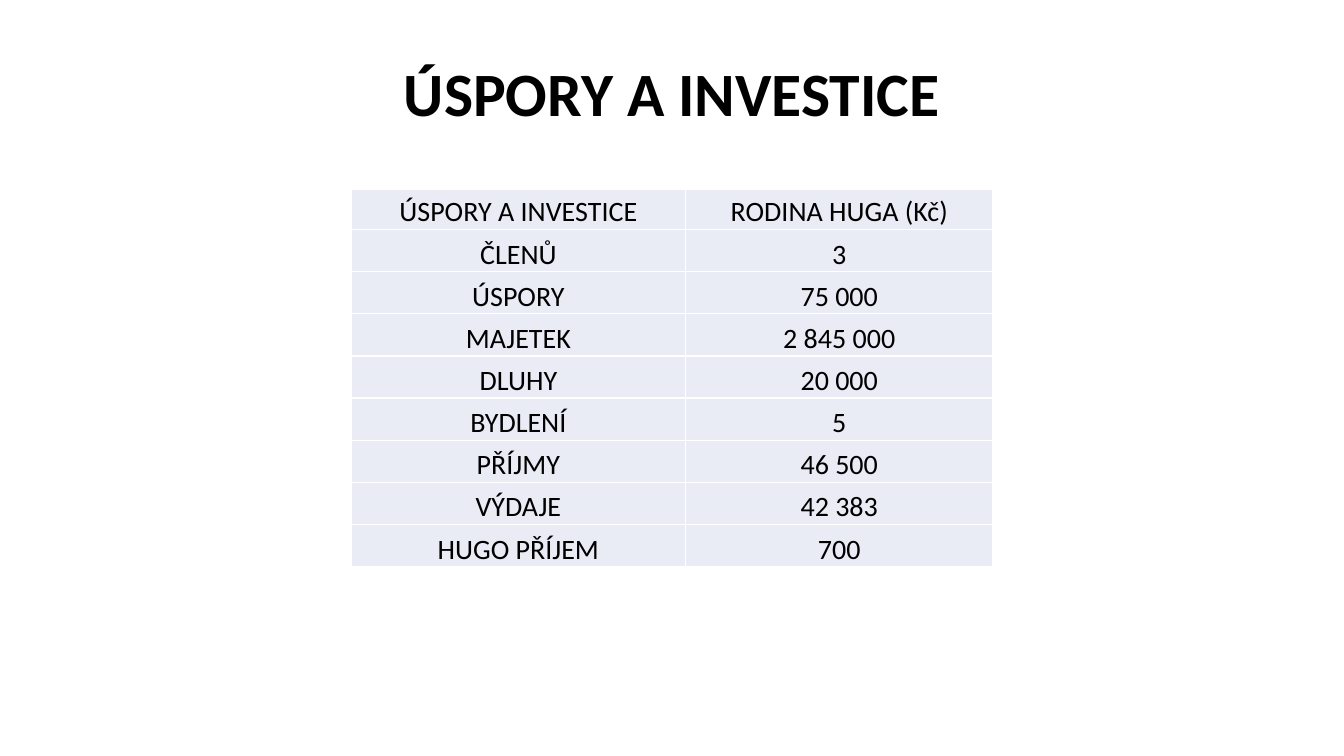
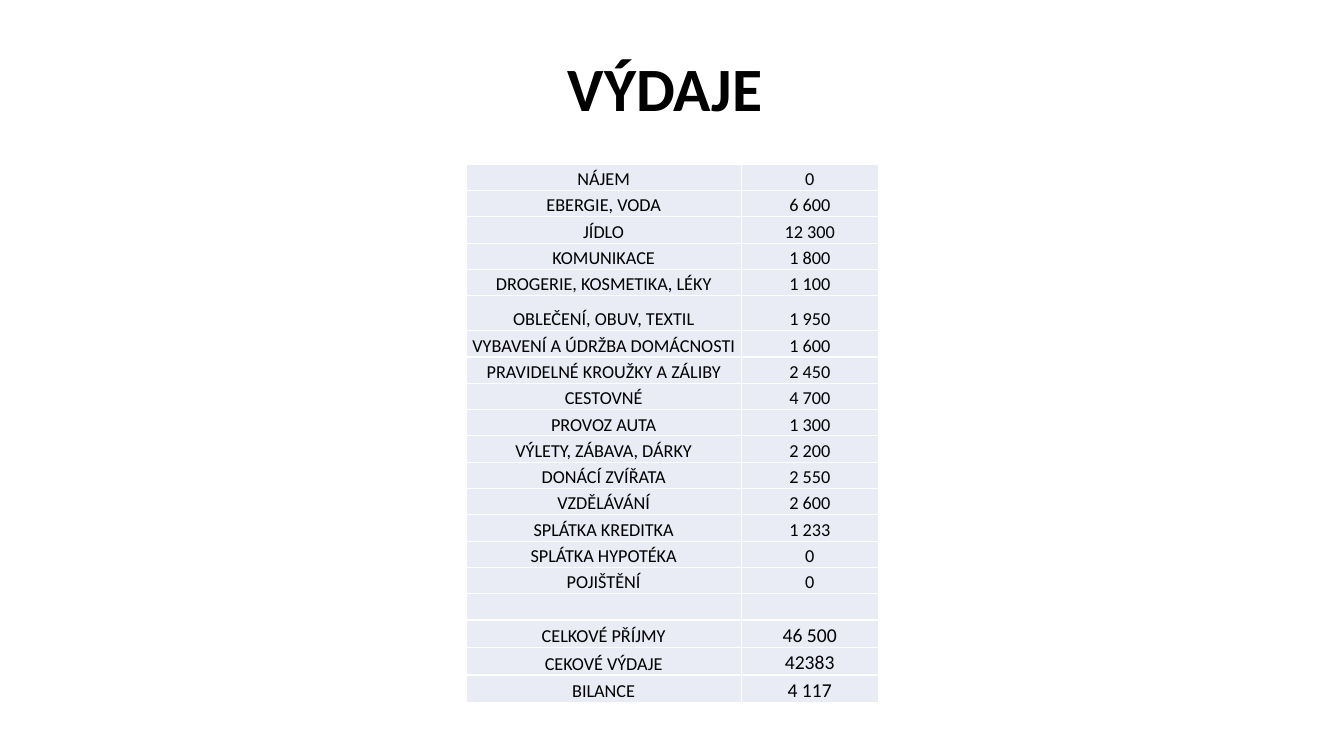
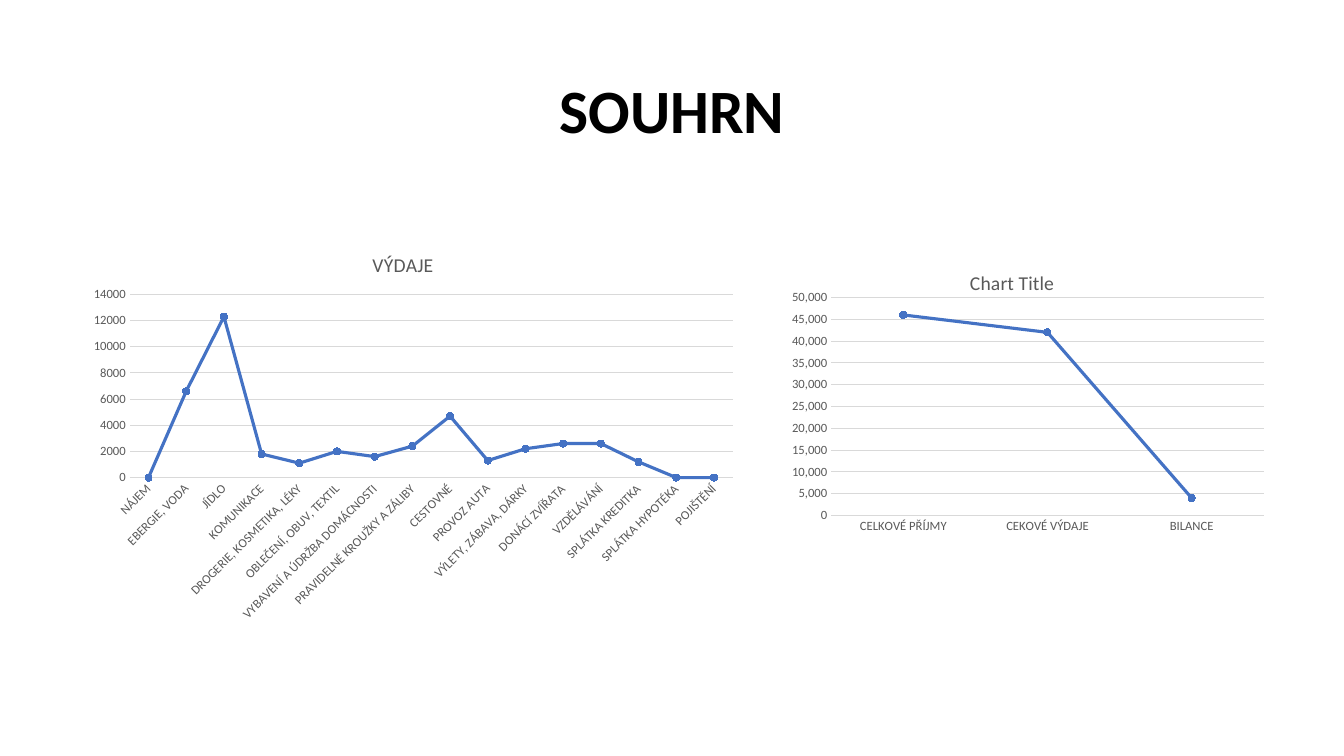
from dataclasses import dataclass

from lxml.etree import SubElement
from pptx import Presentation
from pptx.chart.data import CategoryChartData
from pptx.dml.color import RGBColor
from pptx.enum.chart import XL_CHART_TYPE as ChartType
from pptx.enum.chart import XL_MARKER_STYLE as Marker
from pptx.enum.chart import XL_TICK_MARK as TickMark
from pptx.enum.text import MSO_ANCHOR as Anchor
from pptx.enum.text import PP_ALIGN as Align
from pptx.oxml.ns import qn
from pptx.util import Inches, Pt

FONT = "Calibri"
COLORS = {
    "text": "000000",
    "cell": "E9EBF5",
    "border": "FFFFFF",
    "series": "4472C4",
    "label": "595959",
    "grid": "D9D9D9",
}
WIDTH, HEIGHT = Inches(13.33), Inches(7.5)

SAVINGS = [
    ("ÚSPORY A INVESTICE", "RODINA HUGA (Kč)"),
    ("ČLENŮ", "3"),
    ("ÚSPORY", "75 000"),
    ("MAJETEK", "2 845 000"),
    ("DLUHY", "20 000"),
    ("BYDLENÍ", "5"),
    ("PŘÍJMY", "46 500"),
    ("VÝDAJE", "42 383"),
    ("HUGO PŘÍJEM", "700"),
]
EXPENSES = [
    ("NÁJEM", "0"),
    ("EBERGIE, VODA", "6 600"),
    ("JÍDLO", "12 300"),
    ("KOMUNIKACE", "1 800"),
    ("DROGERIE, KOSMETIKA, LÉKY", "1 100"),
    ("OBLEČENÍ, OBUV, TEXTIL", "1 950"),
    ("VYBAVENÍ A ÚDRŽBA DOMÁCNOSTI", "1 600"),
    ("PRAVIDELNÉ KROUŽKY A ZÁLIBY", "2 450"),
    ("CESTOVNÉ", "4 700"),
    ("PROVOZ AUTA", "1 300"),
    ("VÝLETY, ZÁBAVA, DÁRKY", "2 200"),
    ("DONÁCÍ ZVÍŘATA", "2 550"),
    ("VZDĚLÁVÁNÍ", "2 600"),
    ("SPLÁTKA KREDITKA", "1 233"),
    ("SPLÁTKA HYPOTÉKA", "0"),
    ("POJIŠTĚNÍ", "0"),
]
BALANCE = [
    ("CELKOVÉ PŘÍJMY", "46 500"),
    ("CEKOVÉ VÝDAJE", "42383"),
    ("BILANCE", "4 117"),
]


@dataclass
class Box:
    """A region in percent of the slide's width and height."""

    left: float
    top: float
    width: float
    height: float

    def place(self):
        return (
            int(WIDTH * self.left / 100),
            int(HEIGHT * self.top / 100),
            int(WIDTH * self.width / 100),
            int(HEIGHT * self.height / 100),
        )


def color(name):
    return RGBColor.from_string(COLORS[name])


def style_font(font, size, tint="text", bold=False):
    font.name = FONT
    font.size = Pt(size)
    font.bold = bold
    font.color.rgb = color(tint)


def add_title(page, text, top):
    frame = page.shapes.add_textbox(*Box(6.9, top, 86.2, 19.33).place()).text_frame
    frame.word_wrap = True
    frame.vertical_anchor = Anchor.MIDDLE
    para = frame.paragraphs[0]
    para.text = text
    para.alignment = Align.CENTER
    para.line_spacing = 0.9
    style_font(para.font, 44, bold=True)


def add_borders(cell):
    properties = cell._tc.get_or_add_tcPr()
    for index, side in enumerate(("lnL", "lnR", "lnT", "lnB")):
        line = properties.makeelement(qn(f"a:{side}"), {"w": str(Pt(1))})
        fill = SubElement(line, qn("a:solidFill"))
        SubElement(fill, qn("a:srgbClr"), val=COLORS["border"])
        properties.insert(index, line)


def fill_cell(cell, text, size, inset):
    cell.fill.solid()
    cell.fill.fore_color.rgb = color("cell")
    cell.vertical_anchor = Anchor.BOTTOM
    cell.margin_left = cell.margin_right = cell.margin_top = Pt(inset)
    cell.margin_bottom = 0
    para = cell.text_frame.paragraphs[0]
    para.text = text
    para.alignment = Align.CENTER
    style_font(para.font, size)
    add_borders(cell)


def share_out(tracks, total, weights):
    return [(track, int(total * weight / sum(weights))) for track, weight in zip(tracks, weights)]


def add_grid(page, box, rows, columns, heights, size, inset, large_values=()):
    left, top, width, height = box.place()
    table = page.shapes.add_table(len(rows), len(columns), left, top, width, height).table
    table.first_row = table.horz_banding = False
    for column, length in share_out(table.columns, width, columns):
        column.width = length
    for row, length in share_out(table.rows, height, heights):
        row.height = length
    for r, row in enumerate(rows):
        for c, text in enumerate(row):
            enlarged = c == 1 and row in large_values
            fill_cell(table.cell(r, c), text, size + enlarged, inset)


def set_layout(parent, percents, target=()):
    layout = parent.find(qn("c:layout"))
    if layout is None:
        layout = parent.makeelement(qn("c:layout"), {})
        parent.insert(0, layout)
    manual = SubElement(layout, qn("c:manualLayout"))
    shares = [(tag, percent / 100) for tag, percent in zip("xywh", percents)]
    for tag, value in [*target, ("xMode", "edge"), ("yMode", "edge"), *shares]:
        SubElement(manual, qn(f"c:{tag}"), val=str(value))


def style_axes(chart, number_format, rotation):
    names, values = chart.category_axis, chart.value_axis
    for axis in (names, values):
        axis.major_tick_mark = axis.minor_tick_mark = TickMark.NONE
        style_font(axis.tick_labels.font, 9, "label")
    names.format.line.color.rgb = color("grid")
    names.format.line.width = Pt(0.75)
    names._element.get_or_add_txPr().bodyPr.set("rot", str(rotation * 60000))
    values.format.line.fill.background()
    values.has_major_gridlines = True
    values.major_gridlines.format.line.color.rgb = color("grid")
    values.major_gridlines.format.line.width = Pt(0.75)
    values.tick_labels.number_format = number_format
    values.tick_labels.number_format_is_linked = False


def add_line_chart(page, box, kind, title, rows, step, plot, number_format, rotation=0):
    data = CategoryChartData()
    data.categories = [name for name, _ in rows]
    amounts = [int(value.replace(" ", "")) for _, value in rows]
    data.add_series("Series 1", [round(amount / step) * step for amount in amounts])
    chart = page.shapes.add_chart(kind, *box.place(), data).chart
    style_font(chart.font, 10)
    chart.has_legend = False
    chart.has_title = True
    chart.chart_title.include_in_layout = False
    para = chart.chart_title.text_frame.paragraphs[0]
    para.text = title
    style_font(para.font, 14, "label")
    set_layout(chart._chartSpace.chart.plotArea, plot, [("layoutTarget", "inner")])
    style_axes(chart, number_format, rotation)
    chart.plots[0].vary_by_categories = False
    series = chart.plots[0].series[0]
    series.smooth = False
    series.format.line.color.rgb = color("series")
    series.format.line.width = Pt(2.25)
    series.marker.style = Marker.CIRCLE
    series.marker.size = 5
    series.marker.format.fill.solid()
    series.marker.format.fill.fore_color.rgb = color("series")
    series.marker.format.line.color.rgb = color("series")
    return chart


def savings_slide(page):
    add_title(page, "ÚSPORY A INVESTICE", 3.07)
    heights = [40] + [42] * (len(SAVINGS) - 1)
    add_grid(page, Box(26.13, 25.05, 47.75, 49.93), SAVINGS, (332, 305), heights, 20, 1.4)


def expenses_slide(page):
    add_title(page, "VÝDAJE ", 2.4)
    rows = EXPENSES + [("", "")] + BALANCE
    heights = [26.1] * 5 + [34.6] + [26.1] * 11 + [27.2] * len(BALANCE)
    add_grid(page, Box(34.67, 21.72, 30.68, 71.2), rows, (273, 136), heights, 13, 0.75, BALANCE)


def summary_slide(page):
    add_title(page, "SOUHRN", 5.33)
    expenses = add_line_chart(page, Box(5.93, 30.4, 49.59, 52.8), ChartType.LINE_MARKERS,
                              "VÝDAJE", EXPENSES, 100, (7.5, 16.2, 90.5, 45.9), "0", -45)
    set_layout(expenses.chart_title._element, (43.4, 4.5))
    add_line_chart(page, Box(56.56, 33.6, 37.51, 40), ChartType.LINE_MARKERS_STACKED,
                   "Chart Title", BALANCE, 1000, (14.1, 14.4, 85.9, 72.1), "#,##0")


def main():
    deck = Presentation()
    deck.slide_width, deck.slide_height = WIDTH, HEIGHT
    for build in (savings_slide, expenses_slide, summary_slide):
        build(deck.slides.add_slide(deck.slide_layouts[6]))
    deck.save("out.pptx")


if __name__ == "__main__":
    main()
